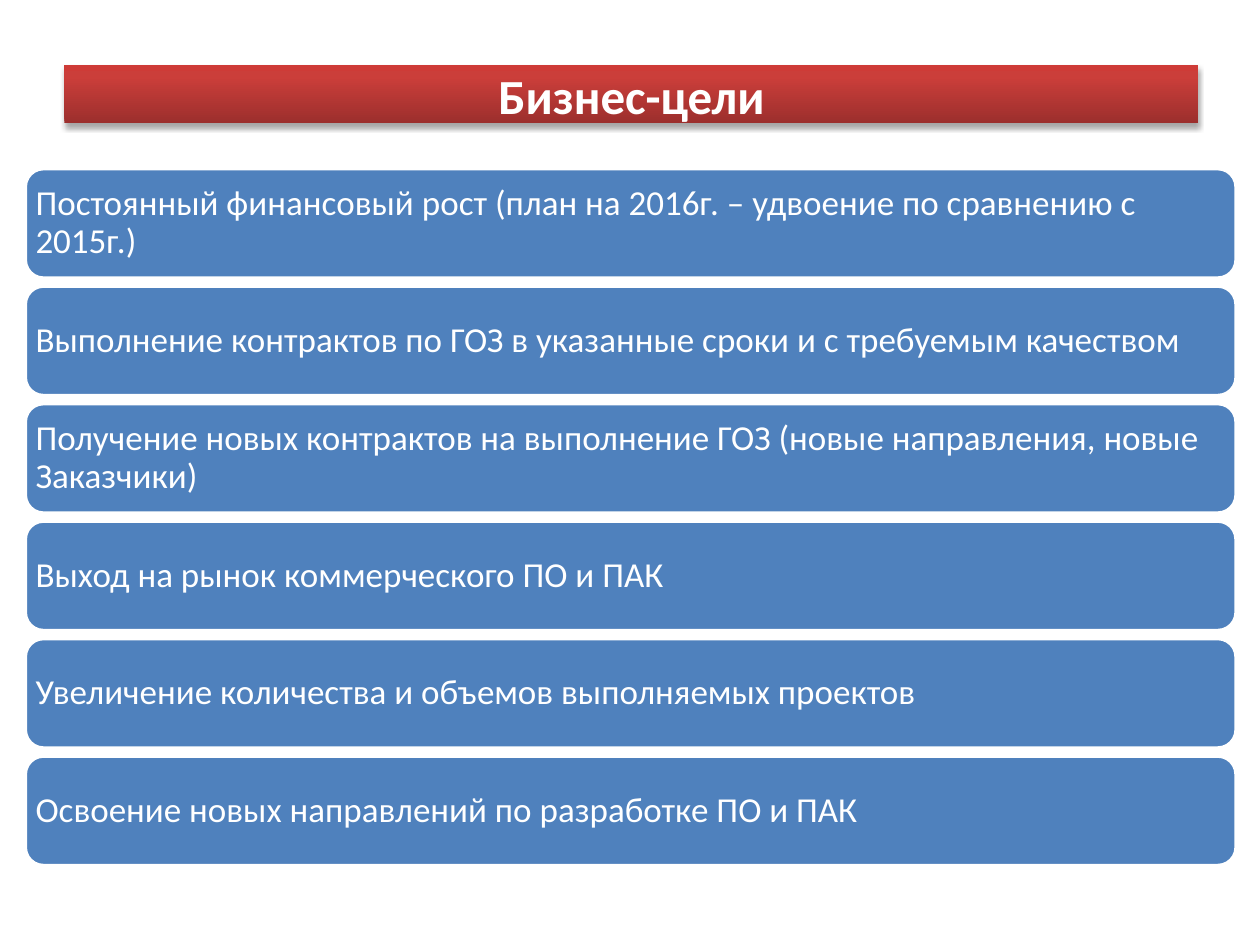
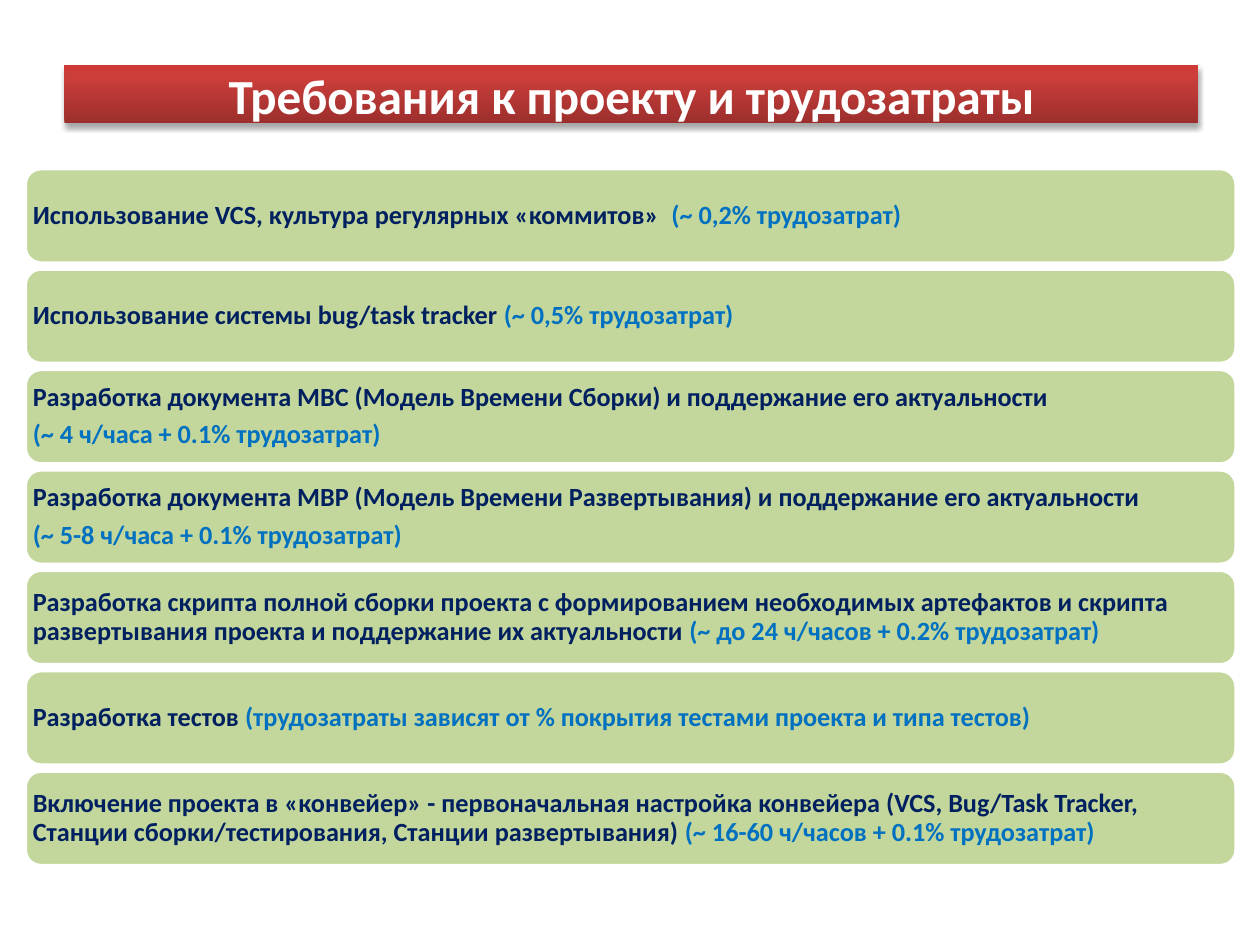
from dataclasses import dataclass

from lxml import etree
from pptx import Presentation
from pptx import util as u
from pptx.dml import color as dml
from pptx.enum import shapes, text
from pptx.oxml import ns

FONT = "Calibri"
WHITE, BLUE, GREEN = "FFFFFF", "4F81BD", "C3D69B"
NAVY, EFFORT_BLUE = "002060", "0070C0"
BAND_STOPS = [(0, "9C2F2D"), (80, "CB3E3A"), (100, "CE3B37")]
TITLE_BOX = (1.3, 1.32, 22.86, 1.17)
CARDS_BOX = (0.51, 3.4, 24.41, 14.05)


@dataclass
class CardStyle:
    """Look of one stack of cards."""
    fill: str
    size: int
    bold: bool
    gap: float
    inset: float


GOAL_STYLE = CardStyle(BLUE, 20, False, 0.16, 0.1)
REQUIREMENT_STYLE = CardStyle(GREEN, 15, True, 0.12, 0.06)

GOALS = [
    "Постоянный финансовый рост (план на 2016г. – удвоение по сравнению с 2015г.)",
    "Выполнение контрактов по ГОЗ в указанные сроки и с требуемым качеством",
    "Получение новых контрактов на выполнение ГОЗ (новые направления, новые Заказчики)",
    "Выход на рынок коммерческого ПО и ПАК",
    "Увеличение количества и объемов выполняемых проектов",
    "Освоение новых направлений по разработке ПО и ПАК",
]

REQUIREMENTS = [
    ("Использование VCS, культура регулярных «коммитов»  ", "(~ 0,2% трудозатрат)", False),
    ("Использование системы bug/task tracker ", "(~ 0,5% трудозатрат)", False),
    ("Разработка документа МВС (Модель Времени Сборки) и поддержание его актуальности",
     "(~ 4 ч/часа + 0.1% трудозатрат)", True),
    ("Разработка документа МВР (Модель Времени Развертывания) и поддержание его актуальности",
     "(~ 5-8 ч/часа + 0.1% трудозатрат)", True),
    ("Разработка скрипта полной сборки проекта с формированием необходимых артефактов и скрипта "
     "развертывания проекта и поддержание их актуальности ",
     "(~ до 24 ч/часов + 0.2% трудозатрат)", False),
    ("Разработка тестов ",
     "(трудозатраты зависят от % покрытия тестами проекта и типа тестов)", False),
    ("Включение проекта в «конвейер» - первоначальная настройка конвейера (VCS, Bug/Task Tracker, "
     "Станции сборки/тестирования, Станции развертывания) ",
     "(~ 16-60 ч/часов + 0.1% трудозатрат)", False),
]


def rgb(value):
    """Turn a hex string into a colour."""
    return dml.RGBColor.from_string(value)


def add_run(paragraph, words, size, colour, bold):
    """Add one formatted run to a paragraph."""
    run = paragraph.add_run()
    run.text = words
    run.font.name = FONT
    run.font.size = u.Pt(size)
    run.font.bold = bold
    run.font.color.rgb = rgb(colour)


def add_element(parent, tag, **attributes):
    """Append a drawing element with its attributes."""
    return etree.SubElement(parent, ns.qn(tag), attributes)


def style_band(shape):
    """Give a shape the red gradient and the soft shadow below it."""
    shape.fill.gradient()
    shape.fill.gradient_angle = 90
    properties = shape._element.spPr
    stops = properties.find(".//" + ns.qn("a:gsLst"))
    for stop in list(stops):
        stops.remove(stop)
    for position, colour in BAND_STOPS:
        stop = add_element(stops, "a:gs", pos=str(position * 1000))
        add_element(stop, "a:srgbClr", val=colour)
    shape.shadow.inherit = False
    effects = properties.find(ns.qn("a:effectLst"))
    shadow = add_element(effects, "a:outerShdw", blurRad=str(u.Pt(3.1)), dist=str(u.Pt(1.8)),
                         dir="5400000", rotWithShape="0")
    colour = add_element(shadow, "a:srgbClr", val="000000")
    add_element(colour, "a:alpha", val="35000")


def place_title(slide, words, box):
    """Turn the title placeholder into the red band."""
    title = slide.shapes.title
    title.left, title.top, title.width, title.height = map(u.Cm, box)
    style_band(title)
    frame = title.text_frame
    frame.auto_size = text.MSO_AUTO_SIZE.NONE
    frame.word_wrap = True
    frame.vertical_anchor = text.MSO_ANCHOR.MIDDLE
    paragraph = frame.paragraphs[0]
    paragraph.alignment = text.PP_ALIGN.CENTER
    add_run(paragraph, words, 28, WHITE, True)


def add_card(slide, paragraphs, box, style):
    """Add one rounded card holding paragraphs of (words, colour) runs."""
    card = slide.shapes.add_shape(shapes.MSO_SHAPE.ROUNDED_RECTANGLE, *map(u.Cm, box))
    card.shadow.inherit = False
    card.fill.solid()
    card.fill.fore_color.rgb = rgb(style.fill)
    card.line.color.rgb = rgb(WHITE)
    card.line.width = u.Pt(2)
    frame = card.text_frame
    frame.word_wrap = True
    frame.vertical_anchor = text.MSO_ANCHOR.MIDDLE
    frame.margin_left = frame.margin_right = u.Cm(style.inset)
    frame.margin_top = frame.margin_bottom = u.Cm(style.inset)
    for index, runs in enumerate(paragraphs):
        paragraph = frame.add_paragraph() if index else frame.paragraphs[0]
        paragraph.alignment = text.PP_ALIGN.LEFT
        paragraph.line_spacing = 0.9
        paragraph.space_after = u.Pt(0.35 * style.size)
        for words, colour in runs:
            add_run(paragraph, words, style.size, colour, style.bold)


def add_cards(slide, cards, box, style):
    """Stack cards of equal height over the whole box."""
    left, top, width, height = box
    card_height = (height - style.gap * (len(cards) - 1)) / len(cards)
    for index, paragraphs in enumerate(cards):
        card_top = top + index * (card_height + style.gap)
        add_card(slide, paragraphs, (left, card_top, width, card_height), style)


def requirement_paragraphs(requirement, effort, own_line):
    """Put the effort after the requirement or on a line of its own."""
    runs = [(requirement, NAVY), (effort, EFFORT_BLUE)]
    return [[run] for run in runs] if own_line else [runs]


def add_card_slide(presentation, title, cards, style):
    """Add a slide with a title band and a stack of cards."""
    slide = presentation.slides.add_slide(presentation.slide_layouts[5])
    place_title(slide, title, TITLE_BOX)
    add_cards(slide, cards, CARDS_BOX, style)


def main():
    """Build and save the presentation."""
    presentation = Presentation()
    presentation.slide_width, presentation.slide_height = u.Cm(25.4), u.Cm(19.05)
    goals = [[[(goal, WHITE)]] for goal in GOALS]
    requirements = [requirement_paragraphs(*item) for item in REQUIREMENTS]
    add_card_slide(presentation, "Бизнес-цели", goals, GOAL_STYLE)
    add_card_slide(presentation, "Требования к проекту и трудозатраты", requirements,
                   REQUIREMENT_STYLE)
    presentation.save("out.pptx")


if __name__ == "__main__":
    main()
